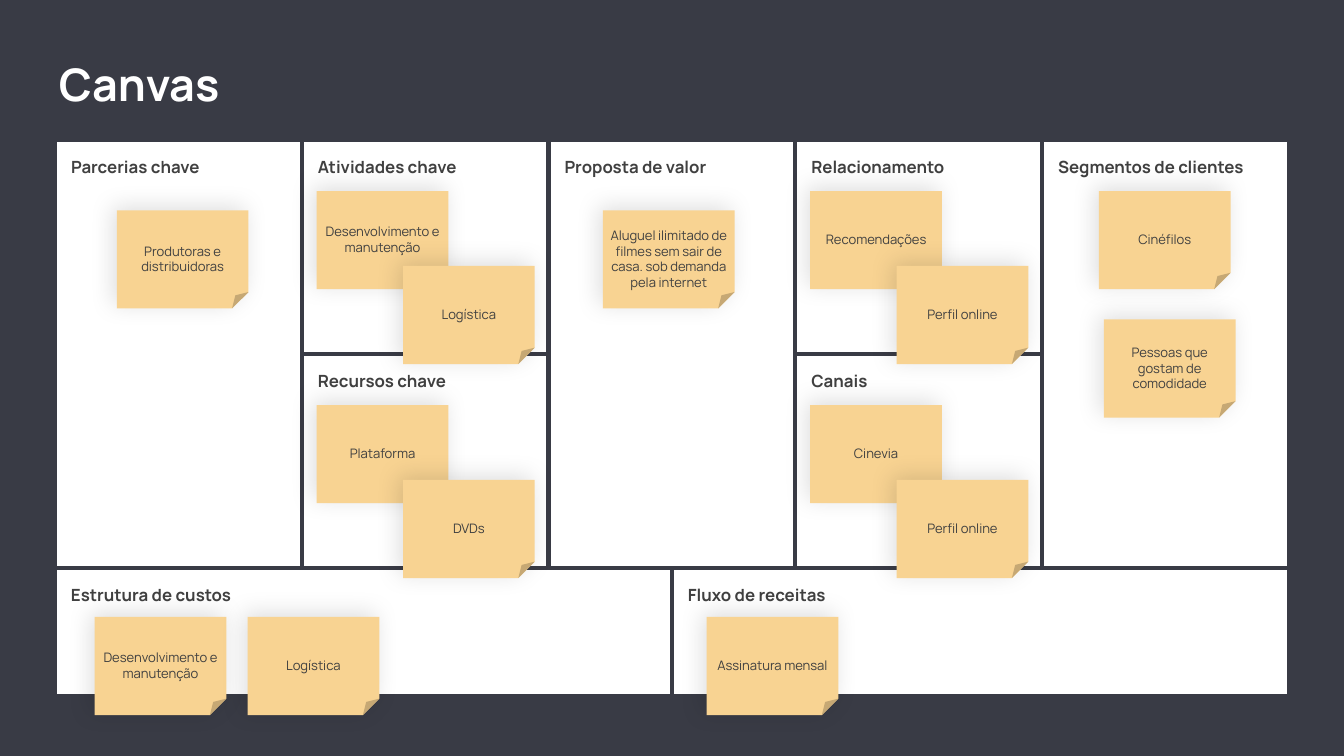
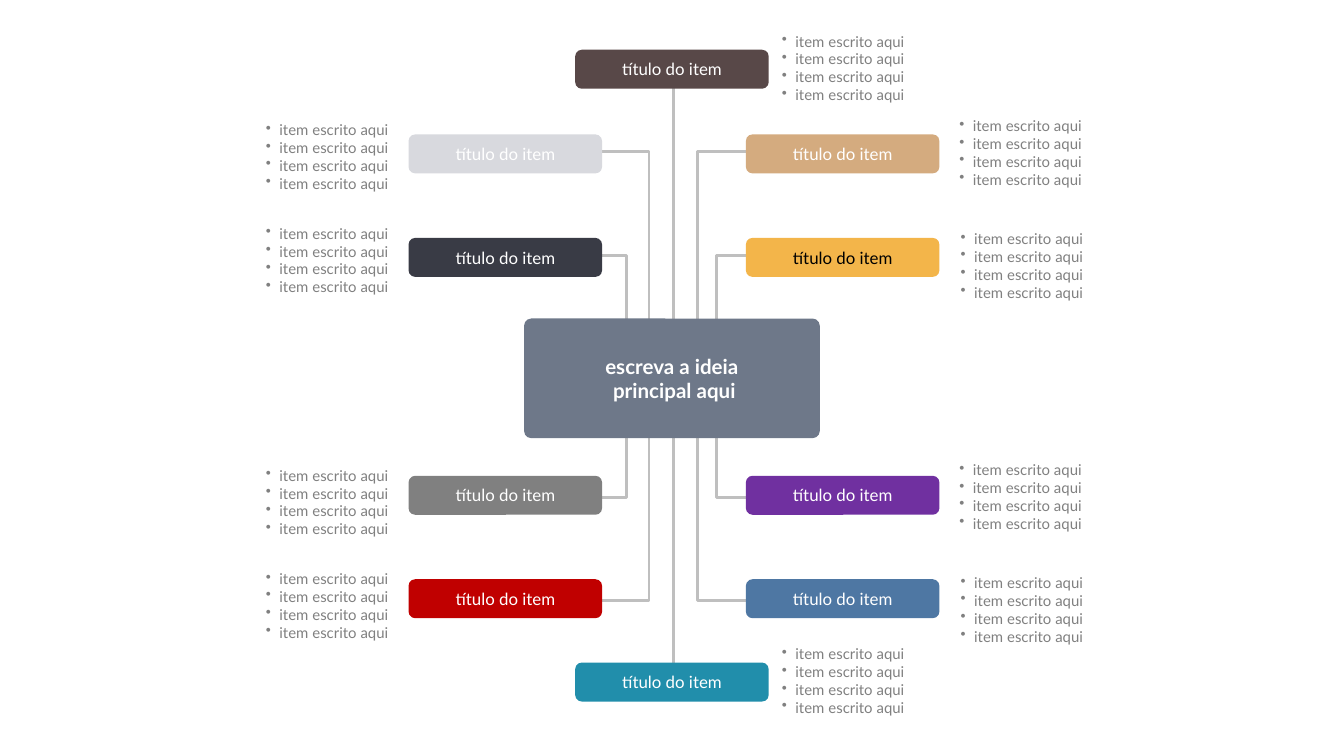
from pptx import Presentation
from pptx.dml.color import RGBColor as RGB
from pptx.enum.shapes import MSO_CONNECTOR as LINK, MSO_SHAPE as SHAPE
from pptx.enum.text import MSO_ANCHOR as ANCHOR, MSO_AUTO_SIZE as FIT, PP_ALIGN as ALIGN
from pptx.oxml.ns import qn
from pptx.util import Inches, Pt
from lxml.etree import SubElement as Sub

WIDE, HIGH = 10, 5.625
COLS, ROWS = 100, 56.25
HEAD, BODY = "Manrope", "Lato"
HUE = {
    "dark": "393B45", "white": "FFFFFF", "black": "000000", "ink": "404040",
    "note": "F8D392", "line": "BFBFBF", "gray": "808080", "hub": "6E7889",
    "brown": "584848", "pale": "D8D9DE", "tan": "D4AB7F", "gold": "F3B54A",
    "violet": "7030A0", "red": "C00000", "blue": "4E77A3", "teal": "218EAB",
}

BOARD = (4.1, 10.4, 91.8, 41.4)
STACK = ((.06, .24), (.41, .59))
PANELS = [
    ("Parcerias chave", 0, 0, 1, 2, .77, [(.25, .33, "Produtoras e distribuidoras")]),
    ("Proposta de valor", 2, 0, 1, 2, .77,
     [(.22, .33, "Aluguel ilimitado de filmes sem sair de casa. sob demanda pela internet")]),
    ("Recursos chave", 1, 1, 1, 1, .71, ["Plataforma", "DVDs"]),
    ("Atividades chave", 1, 0, 1, 1, .77, ["Desenvolvimento e manutenção", "Logística"]),
    ("Canais", 3, 1, 1, 1, .71, ["Cinevia", "Perfil online"]),
    ("Relacionamento", 3, 0, 1, 1, .77, ["Recomendações", "Perfil online"]),
    ("Segmentos de clientes", 4, 0, 1, 2, .99,
     [(.23, .24, "Cinéfilos"), (.25, .84, "Pessoas que gostam de comodidade")]),
    ("Estrutura de custos", 0, 2, 2.5, .6, 1.13,
     [(.16, .23, "Desenvolvimento e manutenção"), (.78, .23, "Logística")]),
    ("Fluxo de receitas", 2.5, 2, 2.5, .6, .71, [(.14, .23, "Assinatura mensal")]),
]

MID = 28
PILL = (14.4, 2.9)
LEFT, CORE, RIGHT = 30.4, 42.8, 55.5
TOPICS = [
    (RIGHT, 8.85, "violet", "white", 70.4, 33.8),
    (RIGHT, 16.55, "blue", "white", 70.5, 42.2),
    (LEFT, 8.85, "gray", "white", 18.5, 34.2),
    (LEFT, 16.55, "red", "white", 18.5, 41.9),
    (CORE, 22.75, "teal", "white", 57.2, 47.5),
    (RIGHT, -8.85, "gold", "black", 70.5, 16.6),
    (RIGHT, -16.55, "tan", "white", 70.4, 8.2),
    (LEFT, -8.85, "dark", "white", 18.5, 16.2),
    (LEFT, -16.55, "pale", "white", 18.5, 8.5),
    (CORE, -22.85, "brown", "white", 57.2, 1.9),
]
ELBOWS = [(46.6, 42, 9), (53.3, 58.2, 9), (48.3, 43.7, 16.7), (51.9, 58.1, 16.7)]


def across(col):
    return Inches(col * WIDE / COLS)


def down(row):
    return Inches(row * HIGH / ROWS)


def place(box):
    x, y, w, h = box
    return across(x), down(y), across(w), down(h)


def tint(name):
    return RGB.from_string(HUE[name])


def write(shape, lines, size, font, color, bold=False, align=ALIGN.LEFT):
    frame = shape.text_frame
    for i, line in enumerate(lines):
        para = frame.paragraphs[0] if i == 0 else frame.add_paragraph()
        para.alignment = align
        run = para.add_run()
        run.text = line
        run.font.size, run.font.name, run.font.bold = Pt(size), font, bold
        run.font.color.rgb = tint(color)
    return frame


def label(slide, box, lines, size, font, color, bold=False, align=ALIGN.LEFT, wrap=True):
    text = slide.shapes.add_textbox(*place(box))
    frame = write(text, lines, size, font, color, bold, align)
    frame.word_wrap = wrap
    frame.auto_size = FIT.SHAPE_TO_FIT_TEXT
    return frame


def block(slide, kind, box, fill, edge=None):
    shape = slide.shapes.add_shape(kind, *place(box))
    shape.shadow.inherit = False
    shape.fill.solid()
    shape.fill.fore_color.rgb = tint(fill)
    if edge:
        shape.line.color.rgb = tint(edge)
        shape.line.width = Pt(2.25)
    else:
        shape.line.fill.background()
    frame = shape.text_frame
    frame.word_wrap = True
    frame.vertical_anchor = ANCHOR.MIDDLE
    return shape


def glow(shape):
    effect = shape.element.spPr.find(qn("a:effectLst"))
    shade = Sub(effect, qn("a:outerShdw"), blurRad=str(Pt(13)), dist=str(Pt(3)),
                dir=str(225 * 60000), algn="ctr", rotWithShape="0")
    color = Sub(shade, qn("a:srgbClr"), val=HUE["black"])
    Sub(color, qn("a:alpha"), val="12000")


def note(slide, x, y, text):
    card = block(slide, SHAPE.FOLDED_CORNER, (x, y, 9.8, 7.3), "note")
    glow(card)
    frame = write(card, [text], 7, HEAD, "ink", align=ALIGN.CENTER)
    frame.margin_left = frame.margin_right = Inches(.04)
    frame.margin_top, frame.margin_bottom = Inches(.16), Inches(.05)


def board(slide, box):
    x, y, w, h = box
    col, row = w / 5, h / 2.6
    spots = [(x + c * col, y + r * row) for _, c, r, *_ in PANELS]
    for (px, py), (_, _, _, cs, rs, _, _) in zip(spots, PANELS):
        block(slide, SHAPE.RECTANGLE, (px, py, cs * col, rs * row), "white", "dark")
    for (px, py), (name, *_, span, _) in zip(spots, PANELS):
        label(slide, (px + .2, py + .8, span * col, 2.5), [name], 9, HEAD, "ink", True)
    for (px, py), (*_, notes) in zip(spots, PANELS):
        for item, spot in zip(notes, STACK):
            dx, dy, text = (*spot, item) if isinstance(item, str) else item
            note(slide, px + dx * col, py + dy * row, text)


def stroke(shape):
    shape.line.color.rgb = tint("line")
    shape.line.width = Pt(1.5)


def elbow(slide, x, end, reach, side):
    start, stop = down(MID + side * 3.6), down(MID + side * reach)
    pen = slide.shapes.build_freeform(across(x), start)
    pen.add_line_segments([(across(x), stop), (across(end), stop)], close=False)
    shape = pen.convert_to_shape()
    shape.shadow.inherit = False
    shape.fill.background()
    stroke(shape)


def stem(slide, side):
    x = across(50.1)
    line = slide.shapes.add_connector(
        LINK.STRAIGHT, x, down(MID + side * 1.8), x, down(MID + side * 21.7))
    stroke(line)
    Sub(line.element.spPr, qn("a:effectLst"))


def items(slide, x, y, align):
    frame = label(slide, (x, y, 11.4, 6.4), ["item escrito aqui"] * 4, 8, BODY, "gray",
                  align=align, wrap=False)
    for para in frame.paragraphs:
        props = para._p.get_or_add_pPr()
        props.set("marL", str(Inches(.1)))
        props.set("indent", str(-Inches(.1)))
        Sub(props, qn("a:buChar"), char="•")


def topic(slide, x, shift, fill, color, lx, ly):
    w, h = PILL
    pill = block(slide, SHAPE.ROUNDED_RECTANGLE, (x, MID + shift - h / 2, w, h), fill)
    pill.adjustments[0] = .17
    write(pill, ["título do item"], 9, BODY, color, align=ALIGN.CENTER)
    items(slide, lx, ly, ALIGN.RIGHT if x == LEFT else ALIGN.LEFT)


def hub(slide, box):
    shape = block(slide, SHAPE.ROUNDED_RECTANGLE, box, "hub")
    shape.adjustments[0] = .06
    write(shape, ["escreva a ideia", " principal aqui"], 11, BODY, "white", True, ALIGN.CENTER)


def page(deck, color):
    slide = deck.slides.add_slide(deck.slide_layouts[6])
    slide.background.fill.solid()
    slide.background.fill.fore_color.rgb = tint(color)
    return slide


def canvas(deck):
    slide = page(deck, "dark")
    label(slide, (3.4, 3.7, 33.5, 5), ["Canvas"], 24, HEAD, "white", True)
    board(slide, BOARD)


def mind(deck):
    slide = page(deck, "white")
    for side in (1, -1):
        for bend in ELBOWS:
            elbow(slide, *bend, side)
        stem(slide, side)
    hub(slide, (39, 23.7, 22, 8.9))
    for entry in TOPICS:
        topic(slide, *entry)


def main():
    deck = Presentation()
    deck.slide_width, deck.slide_height = Inches(WIDE), Inches(HIGH)
    canvas(deck)
    mind(deck)
    deck.save("out.pptx")


if __name__ == "__main__":
    main()
